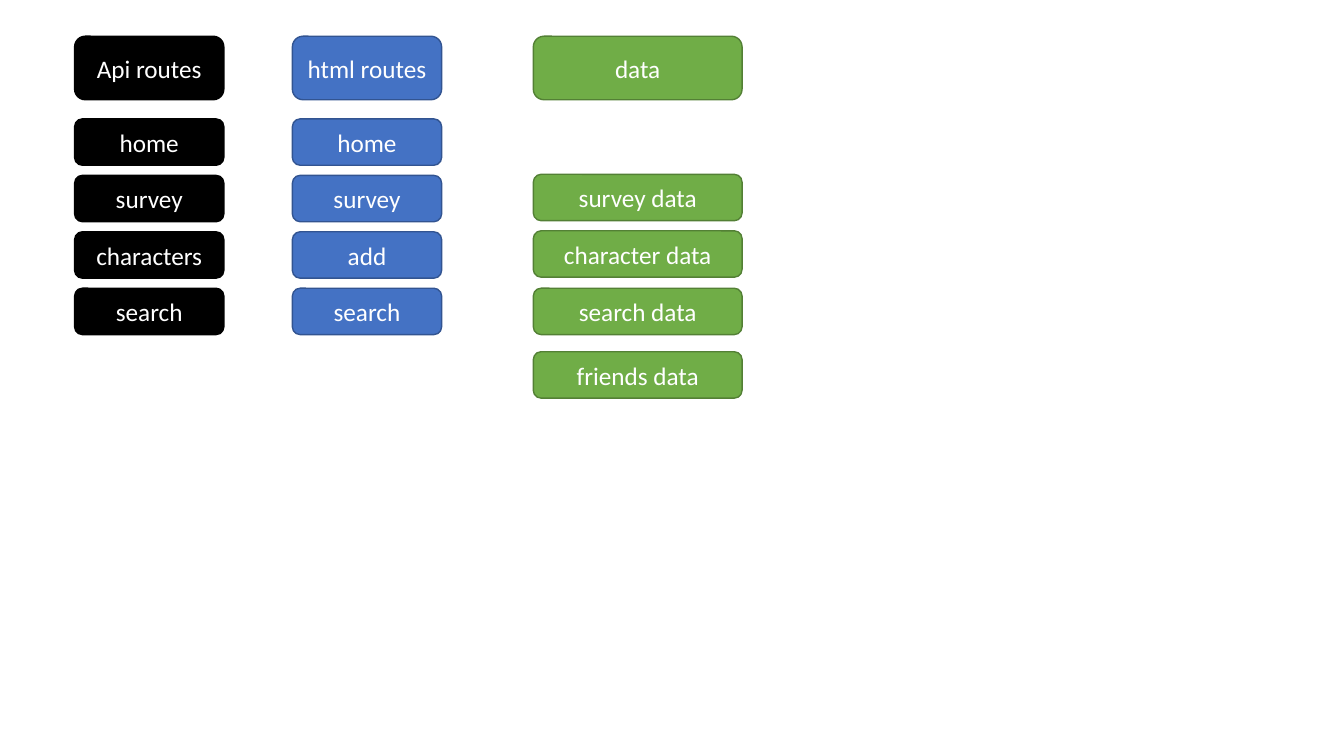
from dataclasses import dataclass

from pptx import Presentation
from pptx.dml.color import RGBColor
from pptx.enum.shapes import MSO_SHAPE
from pptx.enum.text import MSO_ANCHOR, PP_ALIGN
from pptx.util import Inches, Pt

ROUND = MSO_SHAPE.ROUNDED_RECTANGLE
MIDDLE = MSO_ANCHOR.MIDDLE
CENTER = PP_ALIGN.CENTER


@dataclass(frozen=True)
class Theme:
    font: str = "Calibri"
    size: int = 18
    line: int = 1
    text: str = "FFFFFF"
    black: tuple = ("000000", "000000")
    blue: tuple = ("4472C4", "325491")
    green: tuple = ("70AD47", "538035")


THEME = Theme()
TOP = 0.36
HEAD_H = 0.63
ITEM_H = 0.46
ROWS = [0.82 + 0.56 * row for row in range(4)]
DATA_ROWS = [1.37, 1.93, 2.5, 3.13]


def add_box(slide, label, left, top, width, height, colors):
    fill, edge = colors
    box = slide.shapes.add_shape(
        ROUND, Inches(left), Inches(top), Inches(width), Inches(height))
    box.shadow.inherit = False
    box.fill.solid()
    box.fill.fore_color.rgb = RGBColor.from_string(fill)
    box.line.color.rgb = RGBColor.from_string(edge)
    box.line.width = Pt(THEME.line)
    frame = box.text_frame
    frame.text = label
    frame.word_wrap = True
    frame.vertical_anchor = MIDDLE
    para = frame.paragraphs[0]
    para.alignment = CENTER
    font = para.runs[0].font
    font.name = THEME.font
    font.size = Pt(THEME.size)
    font.color.rgb = RGBColor.from_string(THEME.text)


def add_column(slide, left, top, width, colors, head, items, rows):
    """Place a heading box and its items, with rows measured from top."""
    add_box(slide, head, left, top, width, HEAD_H, colors)
    for label, row in zip(items, rows):
        add_box(slide, label, left, top + row, width, ITEM_H, colors)


def main():
    deck = Presentation()
    deck.slide_width = Inches(13.33)
    deck.slide_height = Inches(7.5)
    slide = deck.slides.add_slide(deck.slide_layouts[6])
    add_column(slide, 0.74, TOP, 1.48, THEME.black, "Api routes",
               ["home", "survey", "characters", "search"], ROWS)
    add_column(slide, 2.9, TOP, 1.48, THEME.blue, "html routes",
               ["home", "survey", "add", "search"], ROWS)
    add_column(slide, 5.29, TOP, 2.07, THEME.green, "data",
               ["survey data", "character data", "search data",
                "friends data"], DATA_ROWS)
    deck.save("out.pptx")


if __name__ == "__main__":
    main()
